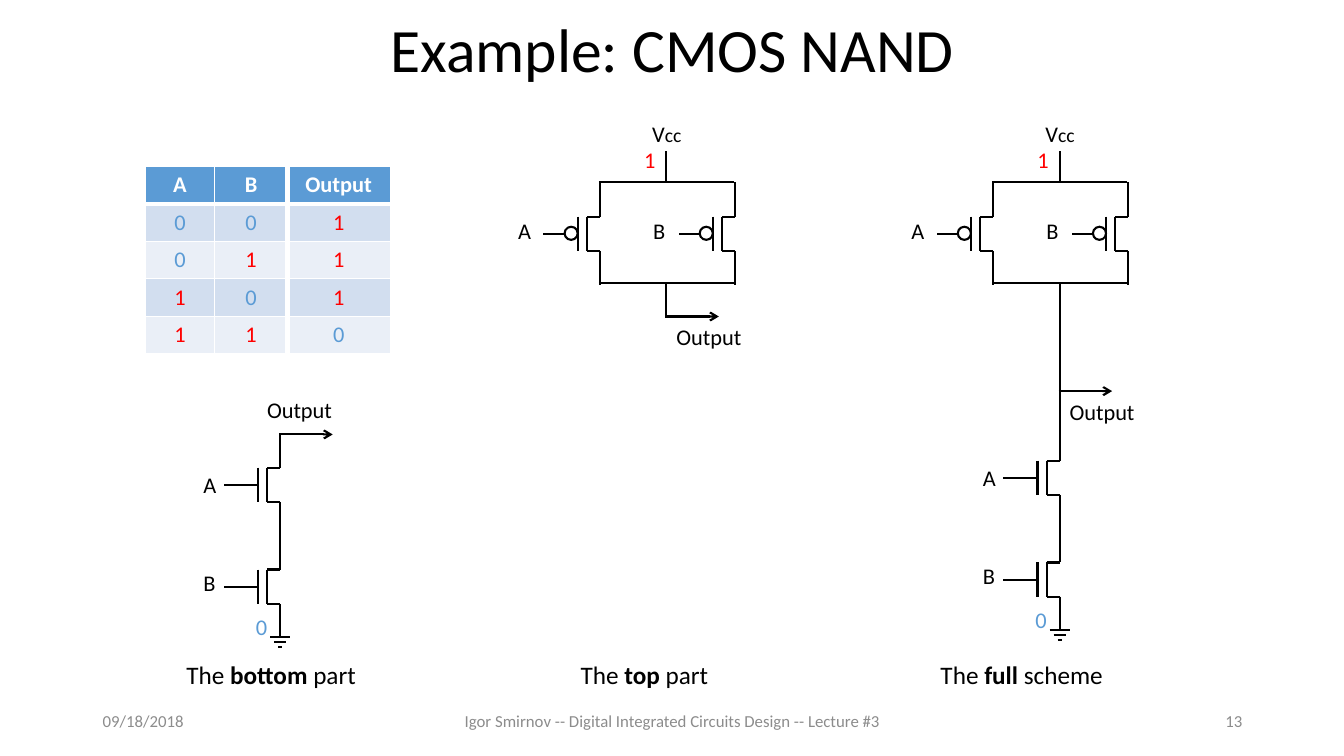
from lxml.etree import SubElement
from pptx import Presentation
from pptx.dml.color import RGBColor
from pptx.enum.shapes import MSO_CONNECTOR, MSO_SHAPE
from pptx.enum.text import MSO_ANCHOR as ANCHOR, MSO_AUTO_SIZE as AUTO_SIZE, PP_ALIGN as ALIGN
from pptx.oxml.ns import qn
from pptx.util import Inches, Pt

COLORS = {
    "black": "000000", "white": "FFFFFF", "gray": "8C8C8C", "one": "FF0000",
    "zero": "5B9BD5", "header": "5B9BD5", "odd_row": "D2DEEF", "even_row": "EAEFF7",
}
COLORS = {name: RGBColor.from_string(value) for name, value in COLORS.items()}


def write_text(holder, text, size=16, color="black", bold=False, align=ALIGN.LEFT,
               anchor=ANCHOR.TOP, wrap=False, spacing=None):
    """Fill a shape or table cell; text is a string or a list of (text, size, bold)."""
    frame = holder.text_frame
    frame.word_wrap = wrap
    frame.auto_size = AUTO_SIZE.NONE
    frame.vertical_anchor = anchor
    paragraph = frame.paragraphs[0]
    paragraph.alignment = align
    paragraph.line_spacing = spacing
    pieces = [(text, size, bold)] if isinstance(text, str) else text
    for piece, piece_size, piece_bold in pieces:
        run = paragraph.add_run()
        run.text = piece
        run.font.name = "Calibri"
        run.font.size = Pt(piece_size)
        run.font.bold = piece_bold
        run.font.color.rgb = COLORS[color]


def draw_wire(group, x1, y1, x2, y2, arrow=False):
    wire = group.shapes.add_connector(
        MSO_CONNECTOR.STRAIGHT, Inches(x1), Inches(y1), Inches(x2), Inches(y2))
    wire.line.color.rgb = COLORS["black"]
    wire.line.width = Pt(1.5)
    properties = wire._element.spPr
    if arrow:
        SubElement(properties.find(qn("a:ln")), qn("a:tailEnd"), type="arrow")
    SubElement(properties, qn("a:effectLst"))


presentation = Presentation()
presentation.slide_width = Inches(13.33)
presentation.slide_height = Inches(7.5)
slide = presentation.slides.add_slide(presentation.slide_layouts[5])

# Title and footer
title = slide.shapes.title
title.left, title.top = Inches(0.92), Inches(0)
title.width, title.height = Inches(11.5), Inches(1.04)
write_text(title, "Example: CMOS NAND", size=44, align=ALIGN.CENTER,
           anchor=ANCHOR.MIDDLE, wrap=True, spacing=0.9)

for text, left, width, align in [
    ("09/18/2018", 0.92, 3, ALIGN.LEFT),
    ("Igor Smirnov -- Digital Integrated Circuits Design -- Lecture #3", 4.42, 4.5, ALIGN.CENTER),
    ("13", 9.42, 3, ALIGN.RIGHT),
]:
    footer = slide.shapes.add_textbox(Inches(left), Inches(6.95), Inches(width), Inches(0.4))
    write_text(footer, text, size=12, color="gray", align=align,
               anchor=ANCHOR.MIDDLE, wrap=True)

# Truth table
truth_rows = [("A", "B", "Output")]
truth_rows += [(str(a), str(b), str(1 - a * b)) for a in (0, 1) for b in (0, 1)]
table = slide.shapes.add_table(
    5, 3, Inches(1.44), Inches(1.65), Inches(2.43), Inches(1.85)).table
for column, width in zip(table.columns, (0.69, 0.72, 1.02)):
    column.width = Inches(width)
for row_index, row in enumerate(truth_rows):
    table.rows[row_index].height = Inches(0.37)
    fill = "header" if row_index == 0 else "odd_row" if row_index % 2 else "even_row"
    for column_index, value in enumerate(row):
        cell = table.cell(row_index, column_index)
        color = {"0": "zero", "1": "one"}.get(value, "white")
        write_text(cell, value, color=color, bold=row_index == 0, align=ALIGN.CENTER, wrap=True)
        cell.vertical_anchor = ANCHOR.MIDDLE
        borders = {
            "lnL": 4.5 if column_index == 2 else 1,
            "lnR": 4.5 if column_index == 1 else 1,
            "lnT": 3 if row_index == 1 else 1,
            "lnB": 3 if row_index == 0 else 1,
        }
        for side, points in borders.items():
            border = SubElement(cell._tc.get_or_add_tcPr(), qn(f"a:{side}"), w=str(Pt(points)))
            border_fill = SubElement(border, qn("a:solidFill"))
            SubElement(border_fill, qn("a:srgbClr"), val=str(COLORS["white"]))
        cell.fill.solid()
        cell.fill.fore_color.rgb = COLORS[fill]

# Circuits
bottom_part, top_part, full_scheme = [slide.shapes.add_group_shape() for _ in range(3)]
labels = []  # group, text, left, top, width, color

# Transistors: x of the drain and source leads, top of the channel
LEAD = 0.34
for group, name, x, top, is_pmos in [
    (bottom_part, "A", 2.78, 4.64, False),
    (bottom_part, "B", 2.78, 5.65, False),
    (top_part, "A", 5.95, 2.15, True),
    (top_part, "B", 7.29, 2.15, True),
    (full_scheme, "A", 9.85, 2.15, True),
    (full_scheme, "B", 11.19, 2.15, True),
    (full_scheme, "A", 10.51, 4.57, False),
    (full_scheme, "B", 10.51, 5.58, False),
]:
    channel, gate = x - 0.13, x - 0.22
    middle, bottom = top + LEAD / 2, top + LEAD
    draw_wire(group, channel, top, channel, bottom)
    draw_wire(group, channel, top, x, top)
    draw_wire(group, channel, bottom, x, bottom)
    draw_wire(group, x, top - LEAD, x, top)
    draw_wire(group, x, bottom, x, bottom + LEAD)
    draw_wire(group, gate, top, gate, bottom)
    draw_wire(group, gate, middle, gate - LEAD, middle)
    if is_pmos:
        bubble = group.shapes.add_shape(
            MSO_SHAPE.OVAL, Inches(gate - 0.13), Inches(middle - 0.07), Inches(0.13), Inches(0.13))
        bubble.shadow.inherit = False
        bubble.fill.solid()
        bubble.fill.fore_color.rgb = COLORS["white"]
        bubble.line.color.rgb = COLORS["black"]
        bubble.line.width = Pt(1.5)
        labels.append((group, name, x - 0.91, top - 0.04, 0.34, "black"))
    else:
        label_top = top - (0.01 if name == "A" else 0.05)
        labels.append((group, name, x - 0.86, label_top, 0.34, "black"))

# Ground under each pull-down pair
for group, x, top in [(bottom_part, 2.78, 6.32), (full_scheme, 10.51, 6.25)]:
    for step, half_width in enumerate((0.1, 0.06, 0.02)):
        y = top + 0.05 * step
        draw_wire(group, x - half_width, y, x + half_width, y)
    labels.append((group, "0", x - 0.34, top - 0.29, 0.32, "zero"))

# Supply and rails around each pull-up pair
for group, center, output_y in [(top_part, 6.61, 3.14), (full_scheme, 10.51, 3.88)]:
    for rail_y in (1.81, 2.81):
        draw_wire(group, center - 0.67, rail_y, center + 0.67, rail_y)
    draw_wire(group, center, 1.5, center, 1.81)
    draw_wire(group, center, 2.81, center, output_y)
    supply = [("V", 16, False), ("cc", 14, False)]
    labels.append((group, supply, center - 0.24, 1.14, 0.49, "black"))
    labels.append((group, "1", center - 0.32, 1.4, 0.32, "one"))
    labels.append((group, "Output", center, output_y + 0.02, 0.85, "black"))
draw_wire(full_scheme, 10.51, 3.88, 10.51, 4.23)
labels.append((bottom_part, "Output", 2.55, 3.88, 0.85, "black"))

for group, x, y in [(bottom_part, 2.77, 4.31), (top_part, 6.6, 3.14), (full_scheme, 10.5, 3.88)]:
    draw_wire(group, x, y, x + 0.53, y, arrow=True)

for group, text, left, top, width, color in labels:
    label = group.shapes.add_textbox(Inches(left), Inches(top), Inches(width), Inches(0.37))
    write_text(label, text, color=color)

# Captions
for part, noun, left, width in [
    ("bottom ", "part", 1.75, 1.91),
    ("top ", "part", 5.66, 1.48),
    ("full ", "scheme", 9.23, 1.83),
]:
    caption = slide.shapes.add_textbox(Inches(left), Inches(6.49), Inches(width), Inches(0.4))
    write_text(caption, [("The ", 18, False), (part, 18, True), (noun, 18, False)])

presentation.save("out.pptx")
